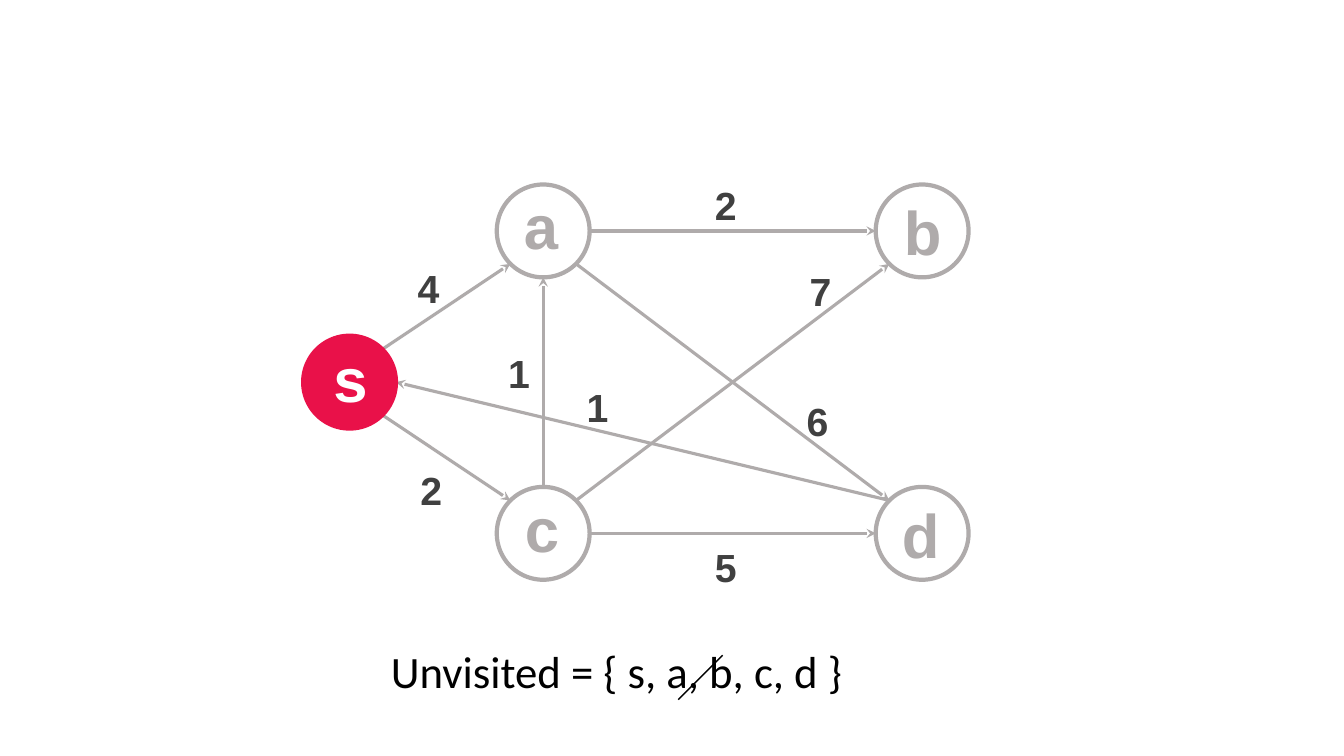
from lxml.etree import SubElement
from pptx import Presentation
from pptx.dml.color import RGBColor
from pptx.enum.shapes import MSO_CONNECTOR, MSO_SHAPE
from pptx.enum.text import MSO_AUTO_SIZE, PP_ALIGN
from pptx.oxml.ns import qn
from pptx.util import Cm, Pt

GREY = RGBColor(0xAF, 0xAB, 0xAB)
DARK = RGBColor(0x40, 0x40, 0x40)
RED = RGBColor(0xE9, 0x11, 0x49)
WHITE = RGBColor(0xFF, 0xFF, 0xFF)
BLACK = RGBColor(0, 0, 0)

DIAMETER = 2.34
LEFT, MIDDLE, RIGHT = 8.81, 13.69, 23.24
TOP, CENTRE, BOTTOM = 5.82, 9.63, 13.44

# name: (centre, top left of the letter box)
NODES = {
    "a": ((MIDDLE, TOP), (12.95, 4.6)),
    "c": ((MIDDLE, BOTTOM), (12.98, 12.24)),
    "b": ((RIGHT, TOP), (22.53, 4.75)),
    "d": ((RIGHT, BOTTOM), (22.48, 12.4)),
    "s": ((LEFT, CENTRE), (8.15, 8.46)),
}
VISITED = {"s"}

# Directions from a node's centre to the point where an edge touches it
DIRECTIONS = {"N": (0, -1), "S": (0, 1), "W": (-1, 0), "E": (1, 0),
              "NE": (0.71, -0.71), "SE": (0.71, 0.71),
              "NW": (-0.71, -0.71), "SW": (-0.71, 0.71)}

# start, side, end, side, weight, top left of the weight box
EDGES = [
    ("s", "NE", "a", "SW", 4, (9.91, 6.53)),
    ("s", "SE", "c", "NW", 2, (9.98, 11.63)),
    ("c", "E", "d", "W", 5, (17.4, 13.56)),
    ("a", "SE", "d", "NW", 6, (19.71, 9.88)),
    ("a", "E", "b", "W", 2, (17.4, 4.45)),
    ("c", "N", "a", "S", 1, (12.19, 8.69)),
    ("c", "NE", "b", "SW", 7, (19.79, 6.6)),
    ("d", "NW", "s", "E", 1, (14.17, 9.53)),
]
STATEMENT = "Unvisited = { s, a, b, c, d }"
STRIKE = ((18.21, 16.51), (17.09, 17.63))


def touch_point(node, side):
    """Return the point on a node's circle that faces the given side."""
    (x, y), _ = NODES[node]
    dx, dy = DIRECTIONS[side]
    return x + dx * DIAMETER / 2, y + dy * DIAMETER / 2


def add_line(slide, start, end, color, width, arrow=False):
    """Draw a straight line, with a stealth arrowhead at its end if asked."""
    line = slide.shapes.add_connector(
        MSO_CONNECTOR.STRAIGHT, *(Cm(value) for value in (*start, *end)))
    line.line.color.rgb = color
    line.line.width = Pt(width)
    properties = line.element.spPr
    if arrow:
        SubElement(properties.find(qn("a:ln")), qn("a:tailEnd"), type="stealth")
    SubElement(properties, qn("a:effectLst"))


def add_text(slide, text, position, size, color, points, font="Arial",
             bold=True, align=PP_ALIGN.LEFT, wrap=True):
    """Add a one-paragraph text box that grows with its text."""
    box = slide.shapes.add_textbox(*(Cm(value) for value in (*position, *size)))
    frame = box.text_frame
    frame.word_wrap = wrap
    frame.auto_size = MSO_AUTO_SIZE.SHAPE_TO_FIT_TEXT
    paragraph = frame.paragraphs[0]
    paragraph.text = text
    paragraph.alignment = align
    paragraph.font.name = font
    paragraph.font.size = Pt(points)
    paragraph.font.bold = bold
    paragraph.font.color.rgb = color


def add_node(slide, name):
    """Draw a node's circle and letter, filled once it is visited."""
    (x, y), letter_position = NODES[name]
    visited = name in VISITED
    circle = slide.shapes.add_shape(
        MSO_SHAPE.OVAL, Cm(x - DIAMETER / 2), Cm(y - DIAMETER / 2),
        Cm(DIAMETER), Cm(DIAMETER))
    circle.shadow.inherit = False
    circle.line.color.rgb = RED if visited else GREY
    circle.line.width = Pt(3)
    if visited:
        circle.fill.solid()
        circle.fill.fore_color.rgb = RED
    else:
        circle.fill.background()
    add_text(slide, name, letter_position, (1.27, 2.11),
             WHITE if visited else GREY, 44)


presentation = Presentation()
presentation.slide_width = Cm(33.87)
presentation.slide_height = Cm(19.05)
slide = presentation.slides.add_slide(presentation.slide_layouts[6])

for start, start_side, end, end_side, weight, position in EDGES:
    add_line(slide, touch_point(start, start_side), touch_point(end, end_side),
             GREY, 2.25, arrow=True)
    add_text(slide, str(weight), position, (1.78, 1.45), DARK, 28,
             align=PP_ALIGN.CENTER)
for name in NODES:
    add_node(slide, name)

add_text(slide, STATEMENT, (9.6, 16.1), (14.88, 1.68), BLACK, 32,
         font="Calibri", bold=False, wrap=False)
add_line(slide, *STRIKE, BLACK, 1)

presentation.save("out.pptx")
